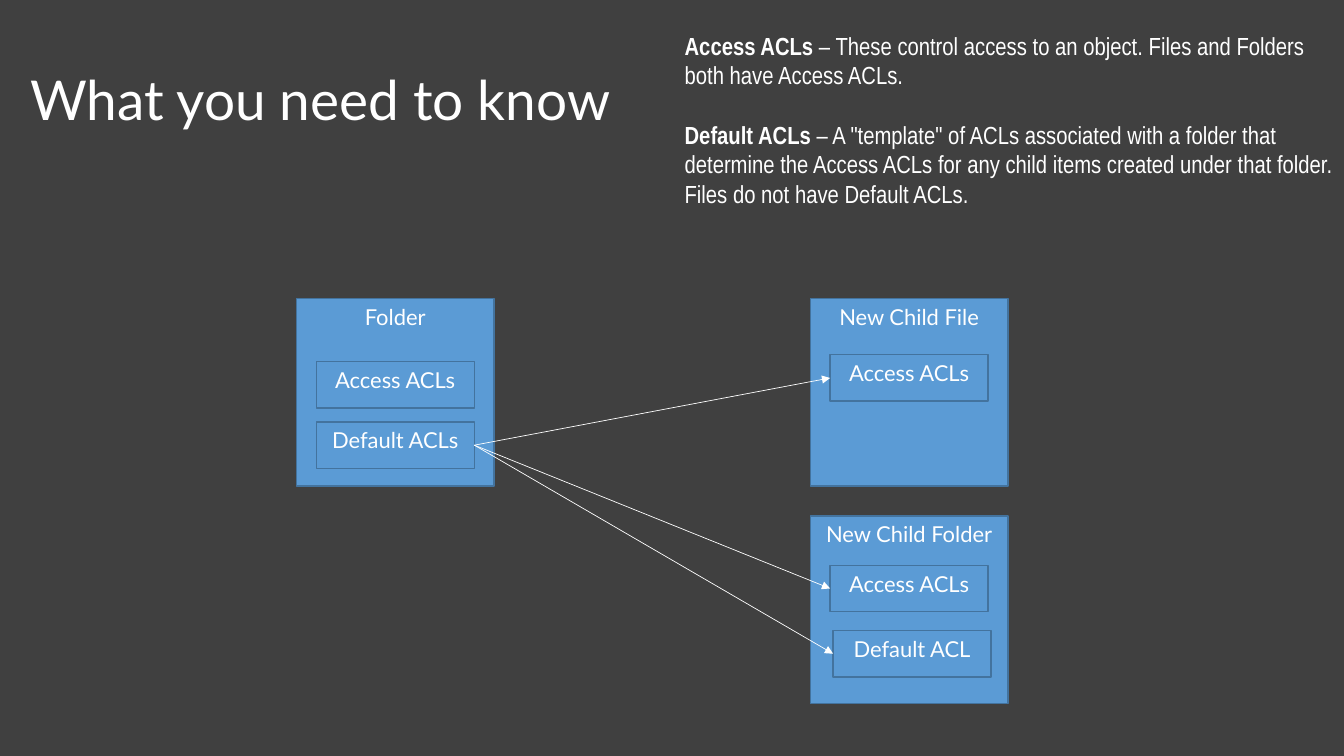
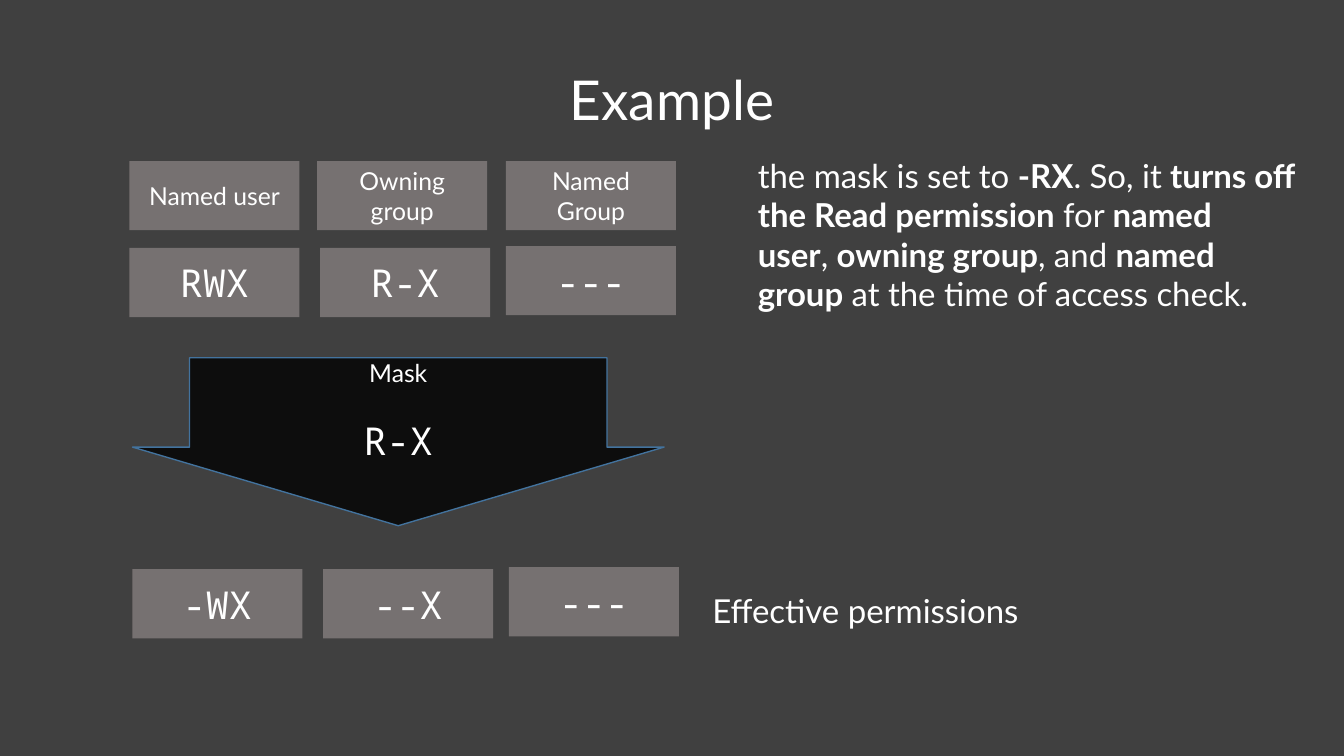
from lxml.etree import SubElement
from pptx import Presentation
from pptx.dml.color import RGBColor
from pptx.enum.shapes import MSO_CONNECTOR as Link, MSO_SHAPE as Form
from pptx.enum.text import MSO_ANCHOR as Anchor, PP_ALIGN as Align
from pptx.oxml.ns import qn
from pptx.util import Inches, Pt

NB = chr(160)


def color(code):
    return RGBColor.from_string(code)


class Deck:
    back, white, blue, edge = "404040", "FFFFFF", "5B9BD5", "43739E"
    gray, black = "767171", "0D0D0D"
    sans, slim, mono = "Lato", "Arial Narrow", "Noto Sans Mono"

    def __init__(self):
        self.file = Presentation()
        self.file.slide_width = Inches(13.6)
        self.file.slide_height = Inches(7.65)
        self.slide = None

    def page(self, title, align=Align.LEFT):
        self.slide = self.file.slides.add_slide(self.file.slide_layouts[6])
        fill = self.slide.background.fill
        fill.solid()
        fill.fore_color.rgb = color(self.back)
        box = self.text((0.21, 0.21, 13.18, 1.66), [[title]], 40, align=align)
        box.text_frame.vertical_anchor = Anchor.MIDDLE
        box.text_frame.paragraphs[0].line_spacing = 0.9

    def run(self, par, text, size, font, bold=False):
        run = par.add_run()
        run.text = text
        run.font.size = Pt(size)
        run.font.name = font
        run.font.bold = bold
        run.font.color.rgb = color(self.white)

    def text(self, place, pars, size, font=sans, align=Align.LEFT, gap=0):
        box = self.slide.shapes.add_textbox(*map(Inches, place))
        frame = box.text_frame
        frame.word_wrap = True
        for i, parts in enumerate(pars):
            par = frame.add_paragraph() if i else frame.paragraphs[0]
            par.alignment = align
            par.space_before = Pt(gap if i else 0)
            for j, part in enumerate(parts):
                self.run(par, part, size, font, j % 2 == 1)
        return box

    def shape(self, place, lines, fill, line=None, form=Form.RECTANGLE,
              anchor=Anchor.MIDDLE, gap=0):
        shape = self.slide.shapes.add_shape(form, *map(Inches, place))
        shape.shadow.inherit = False
        shape.fill.solid()
        shape.fill.fore_color.rgb = color(fill)
        if line:
            shape.line.color.rgb = color(line)
            shape.line.width = Pt(1)
        else:
            shape.line.fill.background()
        frame = shape.text_frame
        frame.word_wrap = True
        frame.vertical_anchor = anchor
        for i, (text, size, font) in enumerate(lines):
            par = frame.add_paragraph() if i else frame.paragraphs[0]
            par.alignment = Align.CENTER
            par.space_before = Pt(gap if i else 0)
            self.run(par, text, size, font)
        return shape

    def node(self, x, y, wide, high, text):
        return self.shape((x, y, wide, high), [(text, 16, self.sans)],
                          self.blue, self.edge, anchor=Anchor.TOP)

    def cell(self, x, y, text, size, font):
        self.shape((x, y, 1.72, 0.7), [(text, size, font)], self.gray)

    def arrow(self, start, end):
        link = self.slide.shapes.add_connector(Link.STRAIGHT, 0, 0, 0, 0)
        link.begin_connect(start, 3)
        link.end_connect(end, 1)
        link.line.color.rgb = color(self.white)
        link.line.width = Pt(0.5)
        SubElement(link.line._get_or_add_ln(), qn("a:tailEnd"), type="triangle")
        SubElement(link._element.spPr, qn("a:effectLst"))


def rules(deck):
    deck.page("What you need to know")
    deck.text((6.83, 0.26, 6.8, 1.92), [
        ["", "Access ACLs", f"{NB}– These control access to an object. "
         "Files and Folders both have Access ACLs."],
        ["", "Default ACLs", f"{NB}– A \"template\" of ACLs associated with "
         "a folder that determine the Access ACLs for any child items "
         "created under that folder. Files do not have Default ACLs."],
    ], 18, deck.slim, gap=21.6)
    for x, y, name in [(3, 3.02, "Folder"), (8.2, 3.02, "New Child File"),
                       (8.2, 5.22, "New Child Folder")]:
        deck.node(x, y, 2, 1.9, name)
    deck.node(3.2, 3.66, 1.6, 0.47, "Access ACLs")
    source = deck.node(3.2, 4.27, 1.6, 0.47, "Default ACLs")
    for x, y, name in [(8.4, 3.59, "Access ACLs"), (8.4, 5.72, "Access ACLs"),
                       (8.43, 6.38, "Default ACL")]:
        deck.arrow(source, deck.node(x, y, 1.6, 0.47, name))


def sample(deck):
    deck.page("Example", Align.CENTER)
    deck.text((7.57, 1.52, 5.82, 1.72), [[
        f"the mask is set to{NB}", "-RX", f". So, it{NB}",
        "turns off the Read permission", f"{NB}for{NB}", "named user",
        f",{NB}", "owning group", f", and{NB}", "named group",
        f"{NB}at the time of access check."]], 24)
    heads = ["Named user", "Owning group", "Named Group"]
    for x, head in zip([1.31, 3.21, 5.12], heads):
        deck.cell(x, 1.63, head, 18, deck.sans)
    spots = [(1.31, 2.51), (3.24, 2.51), (5.12, 2.49)]
    for right, down, modes in [(0, 0, ["RWX", "R-X", "---"]),
                               (0.03, 3.25, ["-WX", "--X", "---"])]:
        for (x, y), mode in zip(spots, modes):
            deck.cell(x + right, y + down, mode, 28, deck.mono)
    mask = deck.shape((1.34, 3.62, 5.38, 1.7),
                      [("Mask", 18, deck.sans), ("R-X", 28, deck.mono)],
                      deck.black, deck.edge, Form.DOWN_ARROW, gap=21.6)
    mask.adjustments[0] = 0.785
    mask.adjustments[1] = 0.468
    deck.text((7.11, 5.93, 5.82, 0.5), [["Effective permissions"]], 24)


def main():
    deck = Deck()
    rules(deck)
    sample(deck)
    deck.file.save("out.pptx")


if __name__ == "__main__":
    main()
